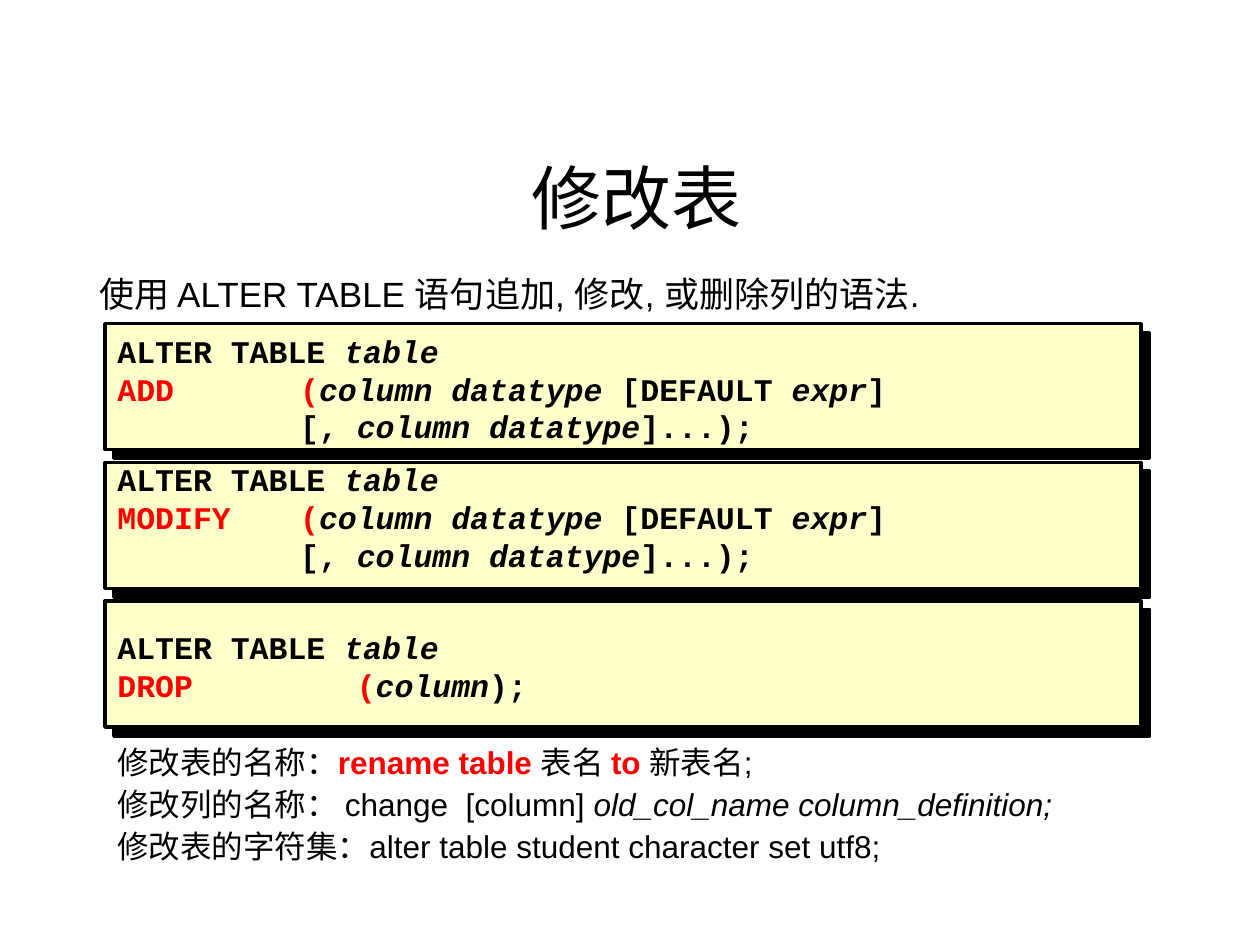
from dataclasses import dataclass

from lxml import etree
from pptx import Presentation
from pptx.dml.color import RGBColor
from pptx.enum.shapes import MSO_SHAPE
from pptx.enum.text import MSO_ANCHOR, MSO_AUTO_SIZE, PP_ALIGN
from pptx.oxml.ns import qn
from pptx.util import Pt

RECT = MSO_SHAPE.RECTANGLE
TOP, MIDDLE = MSO_ANCHOR.TOP, MSO_ANCHOR.MIDDLE
FIXED = MSO_AUTO_SIZE.NONE
CENTER = PP_ALIGN.CENTER

COLORS = {"ink": "000000", "key": "FF0000", "panel": "FFFFCC"}
SANS, MONO, HAN = "Arial", "Courier New", "Noto Sans CJK SC"
EVEN_TABS = [72 * n for n in range(8)]
CODE_TABS = [0, 54.75, 94.5, 144, 216, 288, 360, 432]
LEFT, FIRST, STEP = 60, 185, 79.25


@dataclass
class Span:
    text: str
    color: str = "ink"
    bold: bool = False
    slant: bool = False


@dataclass
class Style:
    font: str
    size: float
    tabs: list[float]
    hang: float = 0
    lines: float = 1
    before: float = 0


@dataclass
class Panel:
    rows: list[list[Span]]
    shift: float = 0


def rgb(name: str) -> RGBColor:
    return RGBColor.from_string(COLORS[name])


def code(text: str, color: str = "ink") -> Span:
    return Span(text, color, bold=True)


def slot(text: str) -> Span:
    return Span(text, bold=True, slant=True)


def place(shape, left: float, top: float, width: float, height: float) -> None:
    shape.left, shape.top = Pt(left), Pt(top)
    shape.width, shape.height = Pt(width), Pt(height)


def write(frame, rows: list[list[Span]], style: Style, anchor=TOP) -> None:
    frame.word_wrap = True
    frame.auto_size = FIXED
    frame.vertical_anchor = anchor
    for i, row in enumerate(rows):
        para = frame.add_paragraph() if i else frame.paragraphs[0]
        props = para._p.get_or_add_pPr()
        props.set("marL", str(Pt(style.hang)))
        props.set("indent", str(-Pt(style.hang)))
        etree.SubElement(props, qn("a:buNone"))
        stops = etree.SubElement(props, qn("a:tabLst"))
        for stop in style.tabs:
            etree.SubElement(stops, qn("a:tab"), pos=str(Pt(stop)), algn="l")
        para.line_spacing = style.lines
        para.space_before = Pt(style.before if i else 0)
        for span in row:
            run = para.add_run()
            run.text = span.text
            font = run.font
            font.name, font.size = style.font, Pt(style.size)
            font.bold, font.italic = span.bold, span.slant
            font.color.rgb = rgb(span.color)
            etree.SubElement(run._r.get_or_add_rPr(), qn("a:ea"), typeface=HAN)


def cast(shape) -> None:
    effects = etree.SubElement(shape._element.spPr, qn("a:effectLst"))
    shade = etree.SubElement(effects, qn("a:outerShdw"), dist=str(Pt(7.1)),
                             dir="2700000", algn="ctr", rotWithShape="0")
    etree.SubElement(shade, qn("a:srgbClr"), val=COLORS["ink"])


def draw(slide, panel: Panel, top: float) -> None:
    card = slide.shapes.add_shape(RECT, Pt(LEFT), Pt(top), Pt(592), Pt(72))
    card.fill.solid()
    card.fill.fore_color.rgb = rgb("panel")
    card.line.color.rgb = rgb("ink")
    card.line.width = Pt(2)
    cast(card)
    box = slide.shapes.add_textbox(Pt(LEFT), Pt(top + panel.shift), Pt(574.5), Pt(74))
    write(box.text_frame, panel.rows, Style(MONO, 18, CODE_TABS), MIDDLE)


def head() -> list[Span]:
    return [code("ALTER TABLE "), slot("table")]


def change(verb: str) -> list[list[Span]]:
    return [
        head(),
        [code(verb + "   (", "key"), slot("column datatype "),
         code("[DEFAULT "), slot("expr"), code("]")],
        [code("\t\t   [, "), slot("column datatype"), code("]...);")],
    ]


def main() -> None:
    deck = Presentation()
    deck.slide_width, deck.slide_height = Pt(720), Pt(540)
    slide = deck.slides.add_slide(deck.slide_layouts[1])

    title, body = slide.placeholders
    place(title, 57.5, 83.5, 612, 57)
    write(title.text_frame, [[Span("修改表")]], Style(HAN, 40, EVEN_TABS), MIDDLE)
    title.text_frame.paragraphs[0].alignment = CENTER

    place(body, 49.5, 156, 613, 27.5)
    lead = [[Span("使用 ALTER TABLE 语句追加, 修改, 或删除列的语法.")]]
    write(body.text_frame, lead, Style(SANS, 20, EVEN_TABS, 27, 0.85))

    drop = [head(), [code("DROP\t      (", "key"), slot("column"), code(");")]]
    panels = [Panel(change("ADD\t\t")), Panel(change("MODIFY\t"), -5.75), Panel(drop)]
    for i, panel in enumerate(panels):
        draw(slide, panel, FIRST + i * STEP)

    notes = [
        [Span("修改表的名称："), Span("rename table ", "key", True), Span("表名 "),
         Span("to ", "key", True), Span("新表名;")],
        [Span("修改列的名称： change  [column] "),
         Span("old_col_name column_definition;", slant=True)],
        [Span("修改表的字符集：alter table student character set utf8;")],
    ]
    box = slide.shapes.add_textbox(Pt(LEFT), Pt(423.5), Pt(595.5), Pt(75))
    write(box.text_frame, notes, Style(SANS, 18, EVEN_TABS, 27, 0.9, 4.5))

    deck.save("out.pptx")


if __name__ == "__main__":
    main()
